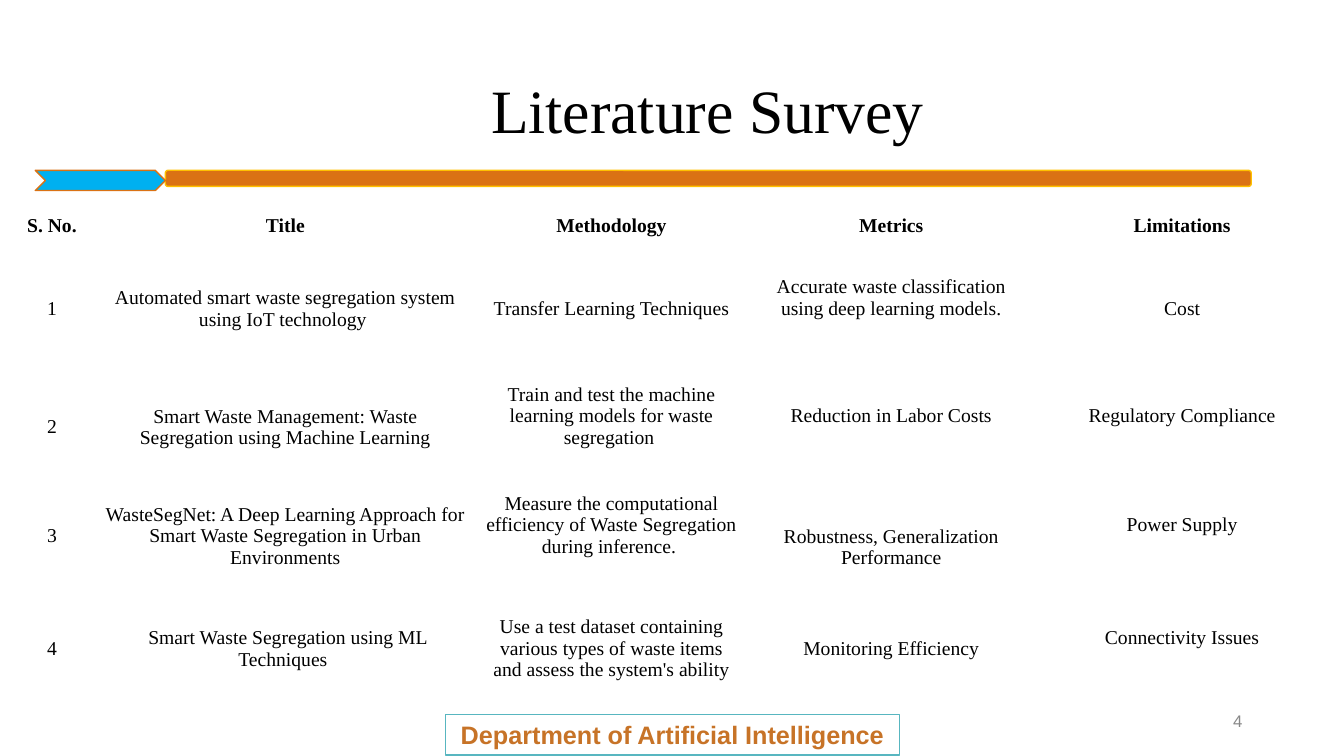
from pptx import Presentation
from pptx.dml.color import RGBColor
from pptx.enum.shapes import MSO_SHAPE
from pptx.enum.text import MSO_ANCHOR, PP_ALIGN
from pptx.util import Inches, Pt

COLORS = {
    "bar": "DA7214", "gold": "FFC000", "blue": "00B0F0", "teal": "58B6C0",
    "rust": "C77327", "gray": "888888", "black": "000000", "white": "FFFFFF",
}
SERIF, SANS = "Times New Roman", "Arial"
WIDTHS = [0.85, 3.78, 2.69, 2.86, 2.91]
HEIGHTS = [0.43, 1.21, 1.14, 0.96, 1.21]
ROWS = [
    ["S. No.", "Title", "Methodology", "Metrics", "Limitations"],
    ["1", "Automated smart waste segregation system using IoT technology ",
     "Transfer Learning Techniques",
     "Accurate waste classification using deep learning models.", "Cost"],
    ["2", "Smart Waste Management: Waste Segregation using Machine Learning",
     "Train and test the machine learning models for waste segregation ",
     "Reduction in Labor Costs", "Regulatory Compliance"],
    ["3", "WasteSegNet: A Deep Learning Approach for Smart Waste Segregation "
     "in Urban Environments",
     "Measure the computational efficiency of Waste Segregation during inference. ",
     "Robustness, Generalization Performance", "Power Supply"],
    ["4", " Smart Waste Segregation using ML Techniques ",
     "Use a test dataset containing various types of waste items and assess "
     "the system's ability",
     "Monitoring Efficiency", "Connectivity Issues"],
]
# Cells (row, column) whose text sits half a line above or below the middle
RAISED = {(1, 3), (2, 2), (2, 3), (2, 4), (3, 2), (3, 4), (4, 4)}
LOWERED = {(3, 3)}
SHIFT = 0.27


def color(name):
    return RGBColor.from_string(COLORS[name])


def write(frame, text, size, font, tint, bold=False, align=PP_ALIGN.CENTER):
    frame.word_wrap = True
    frame.vertical_anchor = MSO_ANCHOR.MIDDLE
    para = frame.paragraphs[0]
    para.alignment = align
    run = para.add_run()
    run.text = text
    run.font.size = Pt(size)
    run.font.name = font
    run.font.bold = bold
    run.font.color.rgb = color(tint)
    return para


def add_box(slide, kind, box, fill, line):
    shape = slide.shapes.add_shape(kind, *map(Inches, box))
    shape.shadow.inherit = False
    shape.fill.solid()
    shape.fill.fore_color.rgb = color(fill)
    shape.line.color.rgb = color(line)
    shape.line.width = Pt(1)
    return shape


def add_band(slide, left, top, width):
    # Chevron followed by the long bar
    tip = 1.29
    bar = add_box(slide, MSO_SHAPE.ROUNDED_RECTANGLE,
                  (left + tip, top, width - tip, 0.16), "bar", "gold")
    bar.adjustments[0] = 0.167
    add_box(slide, MSO_SHAPE.CHEVRON, (left, top, tip, 0.2), "blue", "bar")


def add_title(slide, left, top, width, height):
    title = slide.shapes.title
    title.left, title.top = Inches(left), Inches(top)
    title.width, title.height = Inches(width), Inches(height)
    para = write(title.text_frame, "Literature Survey", 44, SERIF, "black")
    para.line_spacing = 0.9


def add_survey(slide, left, top):
    table = slide.shapes.add_table(
        len(ROWS), len(WIDTHS), Inches(left), Inches(top),
        Inches(sum(WIDTHS)), Inches(sum(HEIGHTS))).table
    table.first_row = table.horz_banding = False
    for col, width in zip(table.columns, WIDTHS):
        col.width = Inches(width)
    for row, height in zip(table.rows, HEIGHTS):
        row.height = Inches(height)
    for r, texts in enumerate(ROWS):
        for c, text in enumerate(texts):
            cell = table.cell(r, c)
            cell.fill.background()
            write(cell.text_frame, text, 14, SERIF, "black", bold=r == 0)
            cell.vertical_anchor = MSO_ANCHOR.MIDDLE
            if (r, c) in RAISED:
                cell.margin_bottom = Inches(SHIFT)
            elif (r, c) in LOWERED:
                cell.margin_top = Inches(SHIFT)


def add_footer(slide, left, top):
    # Department label and page number
    label = add_box(slide, MSO_SHAPE.RECTANGLE, (left, top, 4.5, 0.4),
                    "white", "teal")
    write(label.text_frame, "Department of Artificial Intelligence",
          18, SANS, "rust", bold=True)
    page = slide.shapes.add_textbox(Inches(left + 5), Inches(top - 0.14),
                                    Inches(3), Inches(0.4))
    write(page.text_frame, "4", 12, SANS, "gray", align=PP_ALIGN.RIGHT)


def main():
    deck = Presentation()
    deck.slide_width, deck.slide_height = Inches(13.33), Inches(7.5)
    slide = deck.slides.add_slide(deck.slide_layouts[5])
    add_band(slide, 0.35, 1.69, 12.06)
    add_title(slide, 1.63, 0.4, 10.78, 1.45)
    add_footer(slide, 4.42, 7.09)
    add_survey(slide, 0.09, 2.03)
    deck.save("out.pptx")


if __name__ == "__main__":
    main()
